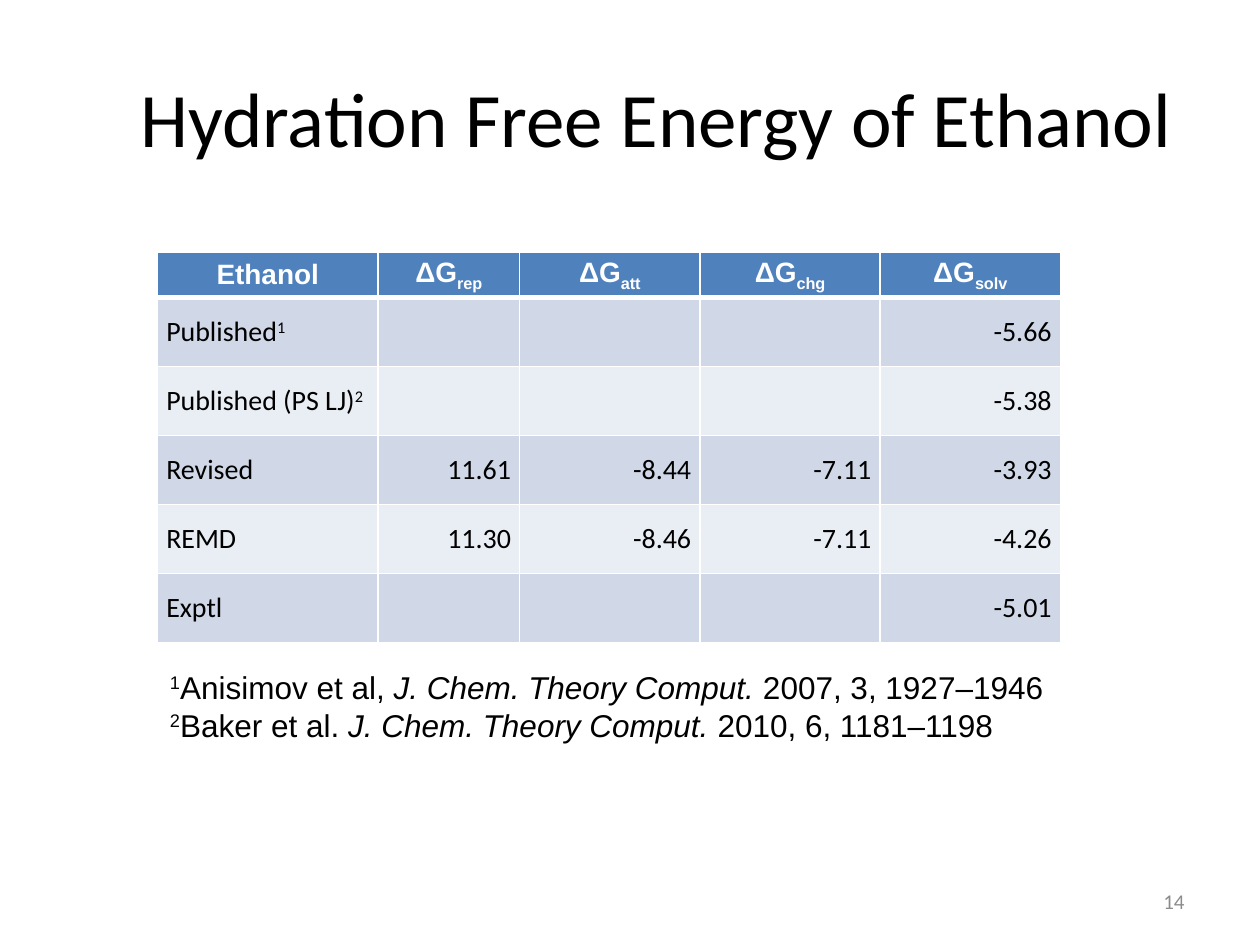
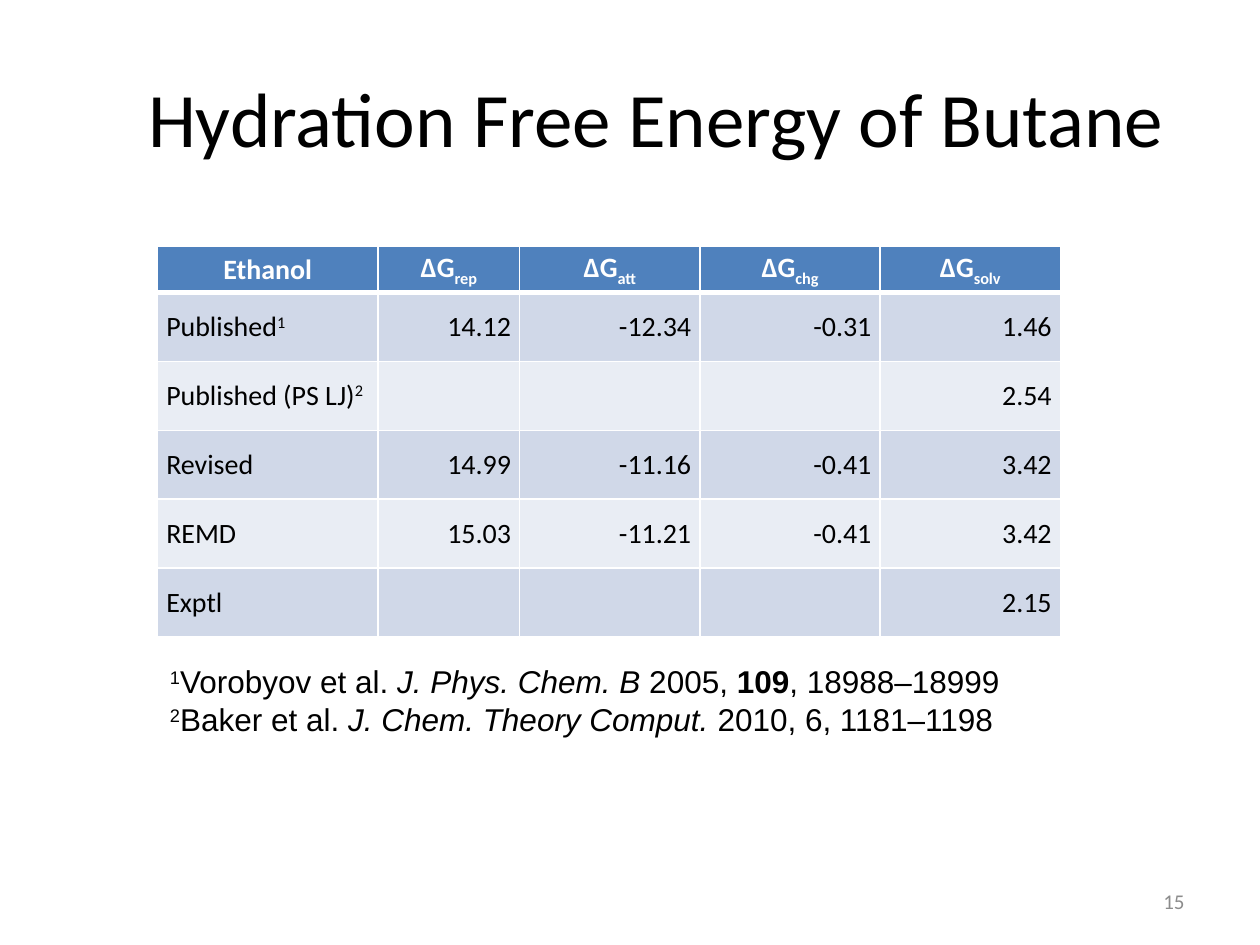
from dataclasses import dataclass
from typing import NamedTuple
from lxml.etree import SubElement
from pptx import Presentation
from pptx.dml.color import RGBColor
from pptx.enum.text import MSO_ANCHOR, MSO_AUTO_SIZE, PP_ALIGN
from pptx.oxml.ns import qn
from pptx.util import Emu, Inches, Pt

HUES = {"ink": "000000", "paper": "FFFFFF", "head": "4F81BD",
        "odd": "D0D8E8", "even": "E9EDF4", "page": "8C8C8C"}

# Grid of 120 columns by 90 rows over the whole slide
WIDE, HIGH = Inches(10), Inches(7.5)
COL, ROW = WIDE / 120, HIGH / 90
LEFT, SPAN = 15, 86
WIDTHS = [21, 13.5] + [(SPAN - 21 - 13.5) / 3] * 3
HEIGHTS = [4.35] + [6.57] * 5


class Box(NamedTuple):
    x: float
    y: float
    w: float
    h: float

    def emu(self) -> list[Emu]:
        return [Emu(round(n * unit)) for n, unit in zip(self, (COL, ROW, COL, ROW))]


class Run(NamedTuple):
    text: str
    base: int = 0
    bold: bool = False
    slant: bool = False


class Style(NamedTuple):
    font: str
    size: int
    hue: str = "ink"
    align: PP_ALIGN = PP_ALIGN.LEFT


TITLE = Box(11, 3.6, 103, 15)
PAGE = Box(86, 83.4, 28, 4.8)
TABLE = Box(LEFT, 24, SPAN, sum(HEIGHTS))
NOTES = Box(LEFT, 63, 92, 8.5)


@dataclass
class Page:
    number: int
    name: str
    font: str       # font of the table head
    shift: float    # vertical shift of table and notes, in rows
    values: list[list[str]]
    source: list[Run]


def up(text: str) -> Run:
    return Run(text, base=30)


HEADS = [[Run("Ethanol", bold=True)]] + [
    [Run("ΔG", bold=True), Run(part, base=-25, bold=True)]
    for part in ("rep", "att", "chg", "solv")]
LABELS = [[Run("Published"), up("1")], [Run("Published (PS LJ)"), up("2")],
          [Run("Revised")], [Run("REMD")], [Run("Exptl")]]
BAKER = [up("2"), Run("Baker et al. "),
         Run("J. Chem. Theory Comput.", slant=True), Run(" 2010, 6, 1181–1198")]

PAGES = [
    Page(14, "Ethanol", "Arial", 0,
         [["", "", "", "-5.66"],
          ["", "", "", "-5.38"],
          ["11.61", "-8.44", "-7.11", "-3.93"],
          ["11.30", "-8.46", "-7.11", "-4.26"],
          ["", "", "", "-5.01"]],
         [up("1"), Run("Anisimov et al, "),
          Run("J. Chem. Theory Comput.", slant=True), Run(" 2007, 3, 1927–1946")]),
    Page(15, "Butane", "Calibri", -0.5,
         [["14.12", "-12.34", "-0.31", "1.46"],
          ["", "", "", "2.54"],
          ["14.99", "-11.16", "-0.41", "3.42"],
          ["15.03", "-11.21", "-0.41", "3.42"],
          ["", "", "", "2.15"]],
         [up("1"), Run("Vorobyov et al. "), Run("J. Phys. Chem. B", slant=True),
          Run(" 2005, "), Run("109", bold=True), Run(", 18988–18999")]),
]


def write(frame, lines: list[list[Run]], style: Style) -> None:
    for i, line in enumerate(lines):
        para = frame.add_paragraph() if i else frame.paragraphs[0]
        para.alignment = style.align
        for item in line:
            run = para.add_run()
            run.text = item.text
            font = run.font
            font.name, font.size = style.font, Pt(style.size)
            font.bold, font.italic = item.bold, item.slant
            font.color.rgb = RGBColor.from_string(HUES[style.hue])
            if item.base:
                run._r.get_or_add_rPr().set("baseline", str(item.base * 1000))


def place(shape, box: Box) -> None:
    shape.left, shape.top, shape.width, shape.height = box.emu()


def add_text(slide, box: Box, lines: list[list[Run]], style: Style,
             anchor: MSO_ANCHOR = MSO_ANCHOR.TOP) -> None:
    frame = slide.shapes.add_textbox(*box.emu()).text_frame
    frame.word_wrap = True
    frame.vertical_anchor = anchor
    write(frame, lines, style)


def edge(cell, base: int) -> None:
    """Draw white cell borders, the lower one as thick as asked."""
    props = cell._tc.get_or_add_tcPr()
    for i, (side, size) in enumerate((("L", 1), ("R", 1), ("T", 1), ("B", base))):
        line = props.makeelement(qn(f"a:ln{side}"), {"w": str(Pt(size))})
        fill = SubElement(line, qn("a:solidFill"))
        SubElement(fill, qn("a:srgbClr"), val=HUES["paper"])
        props.insert(i, line)


def add_grid(slide, page: Page, box: Box) -> None:
    body = [[label] + [[Run(v)] if v else [] for v in vals]
            for label, vals in zip(LABELS, page.values)]
    cells = [HEADS] + body
    table = slide.shapes.add_table(len(HEIGHTS), len(WIDTHS), *box.emu()).table
    for col, width in zip(table.columns, WIDTHS):
        col.width = Emu(round(width * COL))
    for r, line in enumerate(cells):
        table.rows[r].height = Emu(round(HEIGHTS[r] * ROW))
        hue = "head" if r == 0 else "odd" if r % 2 else "even"
        for c, runs in enumerate(line):
            cell = table.cell(r, c)
            cell.fill.solid()
            cell.fill.fore_color.rgb = RGBColor.from_string(HUES[hue])
            cell.vertical_anchor = MSO_ANCHOR.MIDDLE
            cell.margin_left = cell.margin_right = Inches(0.07)
            cell.margin_top = cell.margin_bottom = 0
            # A thick rule parts the head from the first row
            edge(cell, 1 if r else 3)
            if r == 0:
                style = Style(page.font, 16, "paper", PP_ALIGN.CENTER)
            else:
                style = Style("Calibri", 16, align=PP_ALIGN.RIGHT if c else PP_ALIGN.LEFT)
            write(cell.text_frame, [runs], style)


def add_page(deck, page: Page) -> None:
    slide = deck.slides.add_slide(deck.slide_layouts[5])
    # Title
    title = slide.shapes.title
    place(title, TITLE)
    title.text_frame.auto_size = MSO_AUTO_SIZE.NONE
    title.text_frame.vertical_anchor = MSO_ANCHOR.MIDDLE
    write(title.text_frame, [[Run(f"Hydration Free Energy of {page.name}")]],
          Style("Calibri", 44, align=PP_ALIGN.CENTER))
    # Page number
    add_text(slide, PAGE, [[Run(str(page.number))]],
             Style("Calibri", 12, "page", PP_ALIGN.RIGHT), MSO_ANCHOR.MIDDLE)
    # Energies and their sources
    add_grid(slide, page, TABLE._replace(y=TABLE.y + page.shift))
    add_text(slide, NOTES._replace(y=NOTES.y + page.shift),
             [page.source, BAKER], Style("Arial", 18))


def main() -> None:
    deck = Presentation()
    deck.slide_width, deck.slide_height = WIDE, HIGH
    for page in PAGES:
        add_page(deck, page)
    deck.save("out.pptx")


if __name__ == "__main__":
    main()
